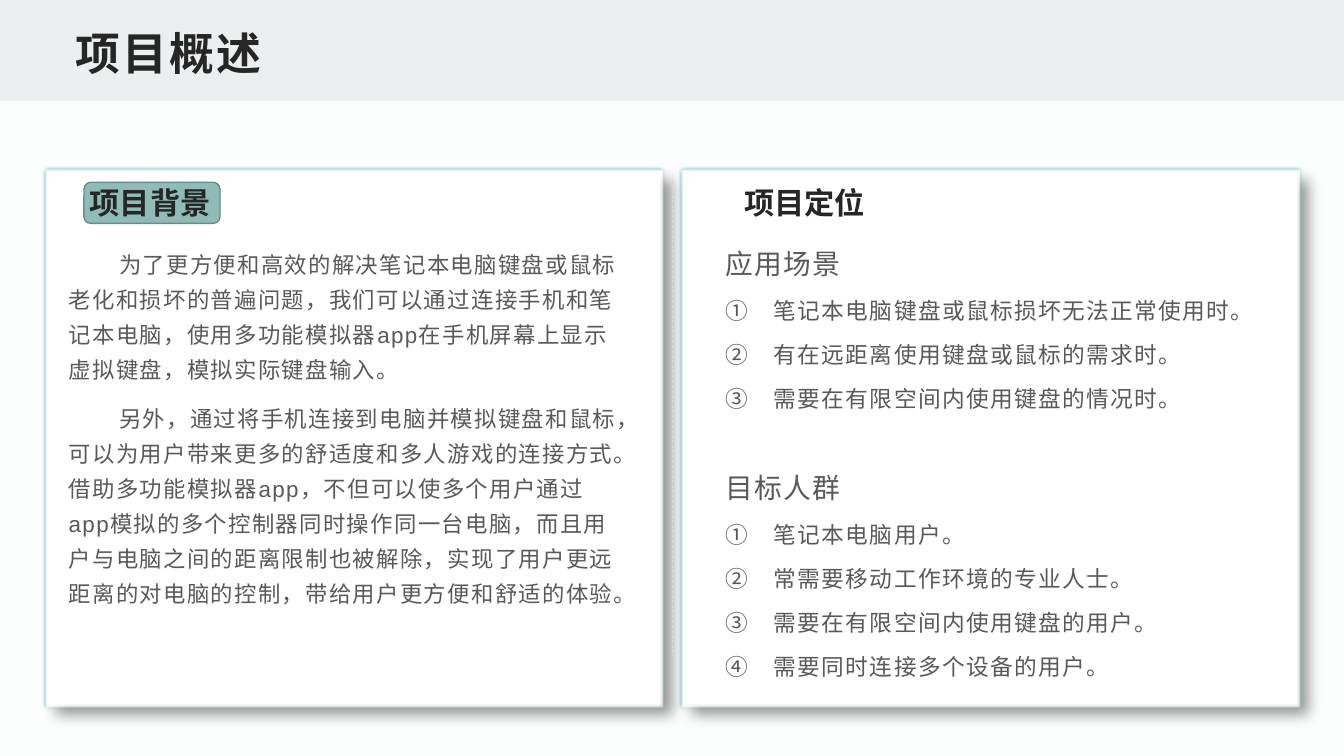
from lxml.etree import SubElement
from pptx import Presentation
from pptx.dml.color import RGBColor
from pptx.enum.dml import MSO_LINE
from pptx.enum.lang import MSO_LANGUAGE_ID
from pptx.enum.shapes import MSO_CONNECTOR, MSO_SHAPE
from pptx.enum.text import MSO_ANCHOR, MSO_AUTO_SIZE, PP_ALIGN
from pptx.oxml.ns import qn
from pptx.util import Emu, Inches, Pt

BACKGROUND = RGBColor(0xFC, 0xFD, 0xFD)
BAND = RGBColor(0xEC, 0xEF, 0xEF)
WHITE = RGBColor(0xFF, 0xFF, 0xFF)
TEAL = RGBColor(0x5D, 0xBD, 0xC3)
BADGE = RGBColor(0x8F, 0xBC, 0xB7)
BADGE_LINE = RGBColor(0x6A, 0x8B, 0x87)
DIVIDER = RGBColor(0xD9, 0xD9, 0xD9)
HEADING = RGBColor(0x26, 0x26, 0x26)
BODY = RGBColor(0x59, 0x59, 0x59)

COLUMNS, ROWS = 160, 90
CARD_LEFT, CARD_STEP = 5.16, 75.72
NUMERALS = "①②③④"

BACKGROUND_TEXT = [
    "为了更方便和高效的解决笔记本电脑键盘或鼠标老化和损坏的普遍问题，我们可以通过连接手机和笔记本电脑，使用多功能模拟器app在手机屏幕上显示虚拟键盘，模拟实际键盘输入。",
    "另外，通过将手机连接到电脑并模拟键盘和鼠标，可以为用户带来更多的舒适度和多人游戏的连接方式。借助多功能模拟器app，不但可以使多个用户通过app模拟的多个控制器同时操作同一台电脑，而且用户与电脑之间的距离限制也被解除，实现了用户更远距离的对电脑的控制，带给用户更方便和舒适的体验。",
]
POSITIONING = {
    "应用场景": [
        "笔记本电脑键盘或鼠标损坏无法正常使用时。",
        "有在远距离使用键盘或鼠标的需求时。",
        "需要在有限空间内使用键盘的情况时。",
    ],
    "目标人群": [
        "笔记本电脑用户。",
        "常需要移动工作环境的专业人士。",
        "需要在有限空间内使用键盘的用户。",
        "需要同时连接多个设备的用户。",
    ],
}


def write(paragraph, text, size, color=BODY, bold=False, tracking=0,
          leading=1.0, before=0, indent=0):
    paragraph.alignment = PP_ALIGN.LEFT
    paragraph.line_spacing = leading
    paragraph.space_before = Pt(before)
    properties = paragraph._p.get_or_add_pPr()
    properties.set("marL", "0")
    properties.set("indent", str(Inches(indent)))
    run = paragraph.add_run()
    run.text = text
    font = run.font
    font.name = "Arial"
    font.size = Pt(size)
    font.bold = bold
    font.color.rgb = color
    font.language_id = MSO_LANGUAGE_ID.SIMPLIFIED_CHINESE
    run._r.get_or_add_rPr().set("spc", str(int(tracking * 100)))


class Board:
    def __init__(self, presentation):
        self.width = presentation.slide_width
        self.height = presentation.slide_height
        self.slide = presentation.slides.add_slide(presentation.slide_layouts[5])
        fill = self.slide.background.fill
        fill.solid()
        fill.fore_color.rgb = BACKGROUND

    def place(self, left, top, width, height):
        return (Emu(int(self.width * left / COLUMNS)),
                Emu(int(self.height * top / ROWS)),
                Emu(int(self.width * width / COLUMNS)),
                Emu(int(self.height * height / ROWS)))

    def box(self, area, fill, line=None, weight=1, kind=MSO_SHAPE.RECTANGLE):
        shape = self.slide.shapes.add_shape(kind, *self.place(*area))
        shape.shadow.inherit = False
        shape.fill.solid()
        shape.fill.fore_color.rgb = fill
        if line is None:
            shape.line.fill.background()
        else:
            shape.line.color.rgb = line
            shape.line.width = Pt(weight)
        return shape

    def card(self, area):
        shape = self.box(area, WHITE, TEAL, 3)
        effects = shape._element.spPr.find(qn("a:effectLst"))
        shadow = SubElement(effects, qn("a:outerShdw"), blurRad=str(Pt(10)),
                            dist=str(Pt(10)), dir="2700000", algn="tl", rotWithShape="0")
        color = SubElement(shadow, qn("a:srgbClr"), val="000000")
        SubElement(color, qn("a:alpha"), val="40000")
        SubElement(effects, qn("a:softEdge"), rad=str(Pt(2.5)))

    def divider(self, column, top, bottom):
        left, start, _, end = self.place(column, top, 0, bottom)
        line = self.slide.shapes.add_connector(MSO_CONNECTOR.STRAIGHT, left, start, left, end)
        line.line.color.rgb = DIVIDER
        line.line.width = Pt(0.5)
        line.line.dash_style = MSO_LINE.DASH
        SubElement(line._element.spPr, qn("a:effectLst"))

    def text(self, area, entries):
        frame = self.slide.shapes.add_textbox(*self.place(*area)).text_frame
        frame.word_wrap = True
        for index, (text, style) in enumerate(entries):
            paragraph = frame.add_paragraph() if index else frame.paragraphs[0]
            write(paragraph, text, **style)

    def heading(self, left, text):
        self.text((left, 21.4, 64.6, 6), [(text, dict(size=21.6, color=HEADING, bold=True))])

    def title(self, area, text):
        title = self.slide.shapes.title
        title.left, title.top, title.width, title.height = self.place(*area)
        frame = title.text_frame
        frame.auto_size = MSO_AUTO_SIZE.NONE
        frame.word_wrap = True
        frame.vertical_anchor = MSO_ANCHOR.BOTTOM
        frame.margin_left = frame.margin_right = Inches(0.08)
        frame.margin_top = frame.margin_bottom = Inches(0.04)
        write(frame.paragraphs[0], text, 32, HEADING, bold=True, tracking=1.5)
        self.slide.shapes._spTree.append(title._element)


def main():
    presentation = Presentation()
    presentation.slide_width = Inches(13.33)
    presentation.slide_height = Inches(7.5)
    board = Board(presentation)

    for index in (1, 0):
        board.card((CARD_LEFT + index * CARD_STEP, 20, 74, 64.3))
    board.box((10, 21.7, 16.2, 4.9), BADGE, BADGE_LINE, kind=MSO_SHAPE.ROUNDED_RECTANGLE)
    board.box((0, 0, COLUMNS, 12), BAND)

    body = dict(size=16, tracking=1, leading=1.3, before=10, indent=0.5)
    board.text((7, 28.4, 68.4, 55.1), [(text, body) for text in BACKGROUND_TEXT])
    board.divider(80, 21.4, 78.2)

    entries = []
    for group, items in POSITIONING.items():
        before = 40 if entries else 10
        entries.append((group, dict(size=19.8, tracking=1, leading=1.1, before=before)))
        for numeral, item in zip(NUMERALS, items):
            entries.append((f"{numeral}　{item}",
                            dict(size=16.2, tracking=1, leading=1.1, before=10)))
    board.text((85.2, 28.4, 68.4, 55.1), entries)

    board.heading(87.4, "项目定位")
    board.title((8, 2, 144, 8), "项目概述")
    board.heading(9.5, "项目背景")
    presentation.save("out.pptx")


if __name__ == "__main__":
    main()
